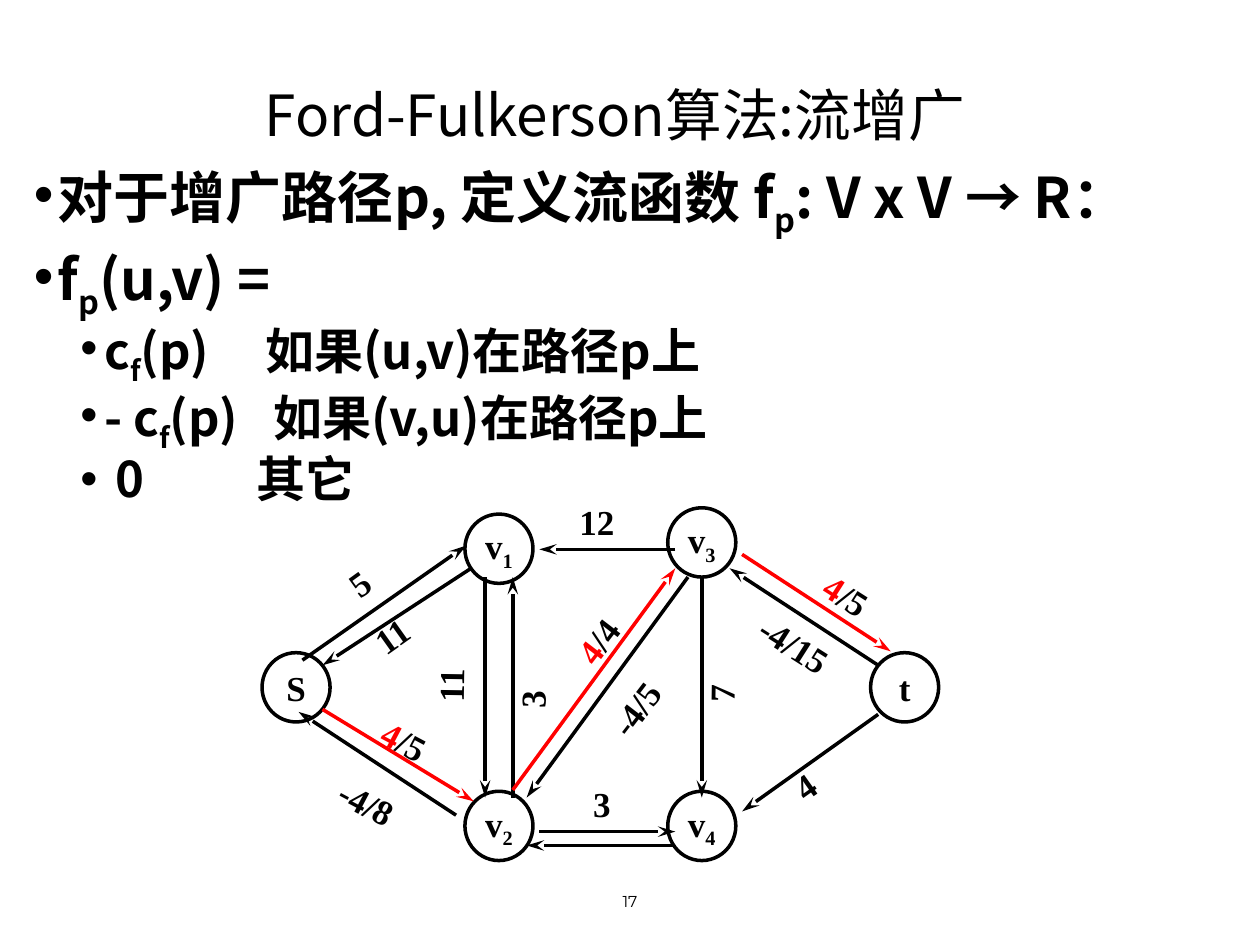
from dataclasses import dataclass

from lxml import etree
from pptx import Presentation
from pptx.dml.color import RGBColor
from pptx.enum.shapes import MSO_CONNECTOR, MSO_SHAPE
from pptx.enum.text import MSO_ANCHOR, MSO_AUTO_SIZE, PP_ALIGN
from pptx.oxml.ns import qn
from pptx.util import Inches, Pt

STRAIGHT = MSO_CONNECTOR.STRAIGHT
OVAL = MSO_SHAPE.OVAL
MIDDLE = MSO_ANCHOR.MIDDLE
GROW = MSO_AUTO_SIZE.SHAPE_TO_FIT_TEXT
LEFT, CENTER = PP_ALIGN.LEFT, PP_ALIGN.CENTER


@dataclass(frozen=True)
class Theme:
    ink: RGBColor = RGBColor(0x00, 0x00, 0x00)
    paper: RGBColor = RGBColor(0xFF, 0xFF, 0xFF)
    path_color: RGBColor = RGBColor(0xFF, 0x00, 0x00)
    sans: str = "Noto Sans CJK SC"
    serif: str = "Times New Roman"
    footer: str = "Montserrat"
    title_size: float = 32.4
    body_sizes: tuple = (32, 28)
    graph_size: float = 20
    number_size: float = 9
    stroke: float = 2


THEME = Theme()

BODY = [
    (0, ["对于增广路径p, 定义流函数 f", "_p", ": V x V → R："], None),
    (0, ["f", "_p", "(u,v) ="], None),
    (1, ["c", "_f", "(p)\t如果(u,v)在路径p上"], 1.84),
    (1, ["- c", "_f", "(p)\t如果(v,u)在路径p上"], 1.9),
    (1, [" 0\t其它"], 1.77),
]

NODE_W, NODE_H, COLUMN = 0.54, 0.55, 1.61
NODES = [
    (0, 1.15, ["S"]), (3, 1.15, ["t"]),
    (1, 0.05, ["v", "_1"]), (1, 2.25, ["v", "_2"]),
    (2, 0, ["v", "_3"]), (2, 2.25, ["v", "_4"]),
]

EDGES = [
    (3.28, 0.33, 2.2, 0.33), (2.2, 2.57, 3.28, 2.57),
    (0.32, 1.21, 1.62, 0.3), (1.54, 2.44, 0.29, 1.62),
    (1.77, 0.55, 1.77, 2.3), (1.99, 2.3, 1.99, 0.55),
    (3.49, 0.55, 3.49, 2.3), (3.38, 0.55, 2.1, 2.3),
    (4.89, 1.64, 3.81, 2.41), (1.66, 0.48, 0.48, 1.25),
    (3.28, 2.68, 2.1, 2.68), (4.89, 1.25, 3.71, 0.48),
]
PATH_EDGES = [
    (0.48, 1.6, 1.68, 2.33), (1.99, 2.24, 3.28, 0.48),
    (3.81, 0.37, 4.99, 1.14),
]

LABEL_H = 0.43
LABELS = [
    (1, 0.93, 0.99, 270.9, ["11"]), (0.49, 2.2, 0.97, 27.9, ["-4/8"]),
    (2.42, -0.11, 0.97, 0, ["12"]), (0.57, 0.29, 0.66, 324.2, ["5"]),
    (1.65, 0.98, 0.99, 270.9, ["3"]), (4.08, 1.81, 0.97, 324.7, ["4"]),
    (2.53, 2.13, 0.97, 0, ["3"]), (4.33, 0.59, 0.97, 32.6, ["!4", "/5"]),
    (3.15, 0.93, 0.99, 270.9, ["7"]), (2.57, 1.24, 0.99, 307.4, ["-4/5"]),
    (0.75, 0.65, 0.97, 324.7, ["11"]), (0.83, 1.73, 0.97, 27.9, ["!4", "/5"]),
    (3.82, 0.92, 0.97, 32.6, ["-4/15"]), (2.3, 0.67, 0.99, 307.4, ["!4", "/4"]),
]


def write(p, parts, font, size, bold=False, align=LEFT):
    p.alignment = align
    for part in parts:
        r = p.add_run()
        r.text = part.lstrip("_!")
        r.font.name, r.font.size, r.font.bold = font, Pt(size), bold
        r.font.color.rgb = THEME.path_color if part[0] == "!" else THEME.ink
        rPr = r.font._element
        etree.SubElement(rPr, qn("a:ea"), typeface=font)
        if part[0] == "_":
            rPr.set("baseline", "-25000")


def add_text(s, box):
    tb = s.shapes.add_textbox(*map(Inches, box))
    tb.text_frame.word_wrap = True
    return tb


def add_bullet(p, level, tab):
    pPr = p._p.get_or_add_pPr()
    pPr.set("marL", str(Inches((0.19, 0.56)[level])))
    pPr.set("indent", str(Inches(-0.19)))
    etree.SubElement(pPr, qn("a:buFont"), typeface="Arial")
    etree.SubElement(pPr, qn("a:buChar"), char="•")
    if tab:
        tabs = etree.SubElement(pPr, qn("a:tabLst"))
        etree.SubElement(tabs, qn("a:tab"), pos=str(Inches(tab)), algn="l")


def add_title(s, box):
    tf = add_text(s, box).text_frame
    tf.vertical_anchor = MIDDLE
    p = tf.paragraphs[0]
    p.line_spacing = 1.1
    write(p, ["Ford-Fulkerson算法:流增广"], THEME.sans, THEME.title_size, align=CENTER)


def add_body(s, box):
    tf = add_text(s, box).text_frame
    for i, (level, parts, tab) in enumerate(BODY):
        p = tf.add_paragraph() if i else tf.paragraphs[0]
        p.level = level
        p.line_spacing = 0.9
        p.space_before = Pt((7.5, 3.8)[level])
        add_bullet(p, level, tab)
        write(p, parts, THEME.sans, THEME.body_sizes[level], bold=True)


def add_node(s, box, parts):
    sp = s.shapes.add_shape(OVAL, *map(Inches, box))
    sp.shadow.inherit = False
    sp.fill.solid()
    sp.fill.fore_color.rgb = THEME.paper
    sp.line.color.rgb = THEME.ink
    sp.line.width = Pt(THEME.stroke)
    tf = sp.text_frame
    tf.word_wrap = False
    tf.vertical_anchor = MIDDLE
    write(tf.paragraphs[0], parts, THEME.serif, THEME.graph_size, True, CENTER)


def add_edge(s, ends, color):
    cx = s.shapes.add_connector(STRAIGHT, *map(Inches, ends))
    cx.line.color.rgb = color
    cx.line.width = Pt(THEME.stroke)
    ln = cx.line._get_or_add_ln()
    etree.SubElement(ln, qn("a:tailEnd"), type="stealth", w="med", len="lg")
    etree.SubElement(cx._element.spPr, qn("a:effectLst"))


def add_label(s, box, angle, parts):
    tb = add_text(s, box)
    tb.rotation = angle
    tb.text_frame.auto_size = GROW
    write(tb.text_frame.paragraphs[0], parts, THEME.serif, THEME.graph_size, True)


def add_network(s, box):
    left, top = box[:2]
    for column, y, parts in NODES:
        add_node(s, (left + column * COLUMN, top + y, NODE_W, NODE_H), parts)
    for edges, color in ((EDGES, THEME.ink), (PATH_EDGES, THEME.path_color)):
        for x1, y1, x2, y2 in edges:
            add_edge(s, (left + x1, top + y1, left + x2, top + y2), color)
    for x, y, w, angle, parts in LABELS:
        add_label(s, (left + x, top + y, w, LABEL_H), angle, parts)


def add_page_number(s, box):
    tf = add_text(s, box).text_frame
    tf.vertical_anchor = MIDDLE
    write(tf.paragraphs[0], ["17"], THEME.footer, THEME.number_size, align=CENTER)


def main():
    prs = Presentation()
    prs.slide_width, prs.slide_height = Inches(10), Inches(7.5)
    s = prs.slides.add_slide(prs.slide_layouts[6])
    add_body(s, (0.17, 1.25, 9.83, 2.75))
    add_title(s, (0.17, 0.5, 9.42, 0.76))
    add_network(s, (2.08, 4.03, 5.37, 2.8))
    add_page_number(s, (3.31, 6.95, 3.38, 0.4))
    prs.save("out.pptx")


if __name__ == "__main__":
    main()
